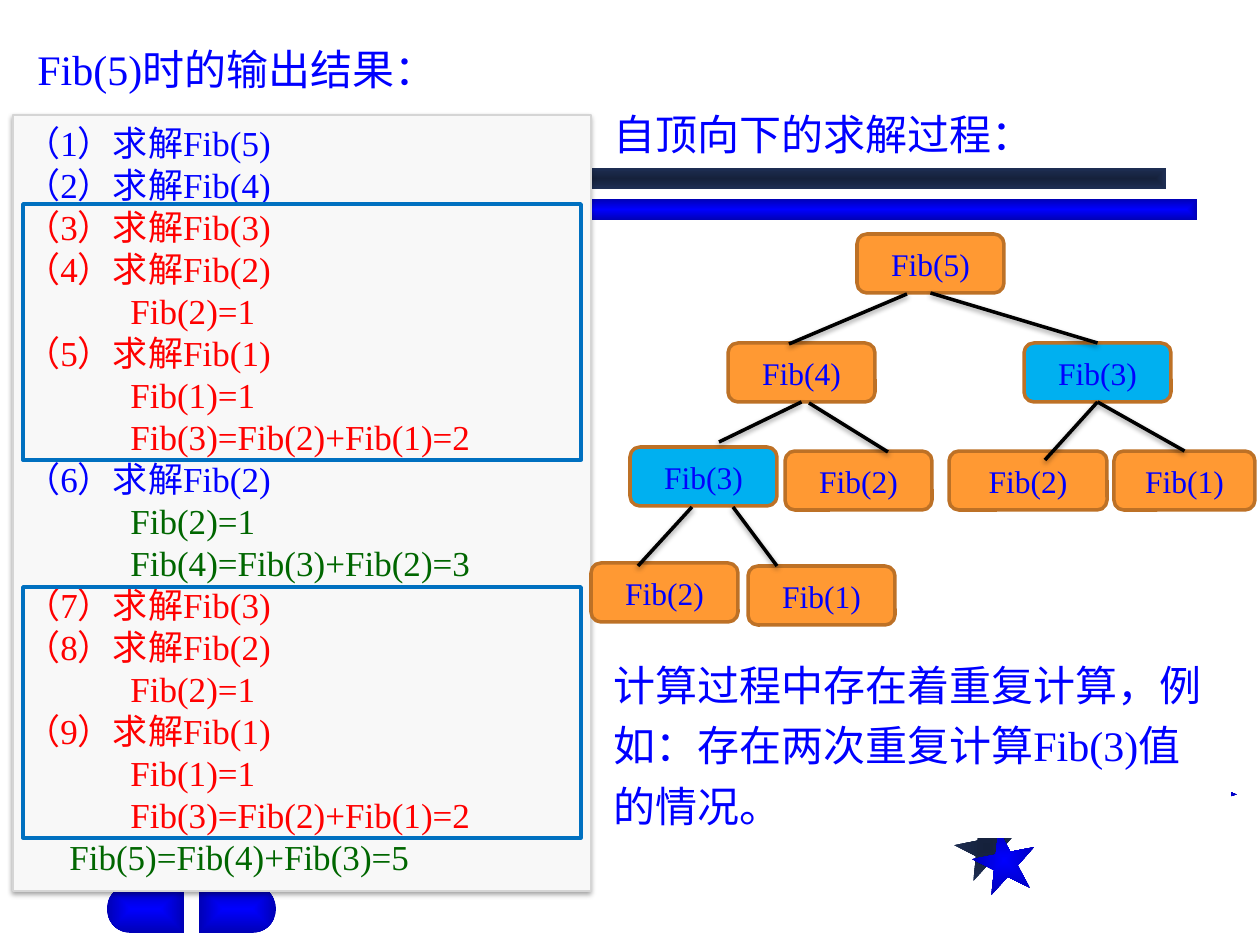
import math

from lxml import etree
from pptx import Presentation
from pptx.dml.color import RGBColor
from pptx.enum.shapes import MSO_CONNECTOR, MSO_SHAPE
from pptx.enum.text import MSO_ANCHOR, PP_ALIGN
from pptx.oxml import parse_xml
from pptx.oxml.ns import nsdecls, qn
from pptx.util import Pt

RECTANGLE, ROUNDED = MSO_SHAPE.RECTANGLE, MSO_SHAPE.ROUNDED_RECTANGLE
STAR, STRAIGHT = MSO_SHAPE.STAR_5_POINT, MSO_CONNECTOR.STRAIGHT
MIDDLE, TOP = MSO_ANCHOR.MIDDLE, MSO_ANCHOR.TOP
LEFT, CENTER = PP_ALIGN.LEFT, PP_ALIGN.CENTER

EMU_PER_PX = 914400 / 126
FONT = "Times New Roman"
BLUE, RED, GREEN = "0000FF", "FF0000", "006600"
ORANGE, CYAN = "FF9933", "00B0F0"
NAVY_GRADIENT = ("15213B", "1E2E53")
BLUE_GRADIENT = ("0000FF", "0000B6")
DEEP_INDENT, SMALL_INDENT = 105, 44

OUTPUT_LINES = [
    ("（1）求解Fib(5)", BLUE, 0), ("（2）求解Fib(4)", BLUE, 0),
    ("（3）求解Fib(3)", RED, 0), ("（4）求解Fib(2)", RED, 0),
    ("Fib(2)=1", RED, DEEP_INDENT), ("（5）求解Fib(1)", RED, 0),
    ("Fib(1)=1", RED, DEEP_INDENT), ("Fib(3)=Fib(2)+Fib(1)=2", RED, DEEP_INDENT),
    ("（6）求解Fib(2)", BLUE, 0), ("Fib(2)=1", GREEN, DEEP_INDENT),
    ("Fib(4)=Fib(3)+Fib(2)=3", GREEN, DEEP_INDENT), ("（7）求解Fib(3)", RED, 0),
    ("（8）求解Fib(2)", RED, 0), ("Fib(2)=1", RED, DEEP_INDENT),
    ("（9）求解Fib(1)", RED, 0), ("Fib(1)=1", RED, DEEP_INDENT),
    ("Fib(3)=Fib(2)+Fib(1)=2", RED, DEEP_INDENT),
    ("Fib(5)=Fib(4)+Fib(3)=5", GREEN, SMALL_INDENT),
]

TREE_NODES = {
    "root": ("Fib(5)", 857, 234, 147, ORANGE),
    "left": ("Fib(4)", 728, 343, 147, ORANGE),
    "left left": ("Fib(3)", 630, 447, 147, CYAN),
    "left right": ("Fib(2)", 785, 451, 147, ORANGE),
    "leaf left": ("Fib(2)", 591, 563, 147, ORANGE),
    "leaf right": ("Fib(1)", 748, 566, 147, ORANGE),
    "right": ("Fib(3)", 1024, 343, 147, CYAN),
    "right left": ("Fib(2)", 949, 451, 158, ORANGE),
    "right right": ("Fib(1)", 1114, 451, 141, ORANGE),
}

TREE_EDGES = [
    (692, 507, 638, 566, None, None),
    (733, 507, 777, 566, None, None),
    (802, 402, 719, 442, "left", None),
    (809, 403, 888, 452, None, None),
    (1098, 402, 1045, 460, "right", None),
    (1098, 402, 1184, 451, "right", "right right"),
    (907, 294, 789, 344, None, None),
    (931, 293, 1098, 343, "root", "right"),
]


def px(length):
    """Turn pixels into EMU."""
    return round(length * EMU_PER_PX)


def color(value):
    """Turn a hex string into a colour."""
    return RGBColor.from_string(value)


def add_shadow(shape):
    """Put a soft shadow below a shape or a connector."""
    properties = shape._element.spPr
    for effects in properties.findall(qn("a:effectLst")):
        properties.remove(effects)
    properties.append(parse_xml(
        f'<a:effectLst {nsdecls("a")}><a:outerShdw blurRad="{Pt(3.1)}" dist="{Pt(1.6)}" '
        'dir="5400000" rotWithShape="0"><a:srgbClr val="000000"><a:alpha val="38000"/>'
        '</a:srgbClr></a:outerShdw></a:effectLst>'))


def style_shape(shape, fill=None, line=None, line_width=2):
    """Set the plain fill and outline of a shape."""
    shape.shadow.inherit = False
    if fill:
        shape.fill.solid()
        shape.fill.fore_color.rgb = color(fill)
    else:
        shape.fill.background()
    if line:
        shape.line.color.rgb = color(line)
        shape.line.width = Pt(line_width)
    else:
        shape.line.fill.background()


def style_gradient(shape, colors, kind="shape"):
    """Fill a shape with a gradient that spreads from its centre."""
    style_shape(shape)
    shape.fill.gradient()
    for stop, value in zip(shape.fill.gradient_stops, colors):
        stop.color.rgb = color(value)
    gradient = shape._element.spPr.find(qn("a:gradFill"))
    gradient.remove(gradient.find(qn("a:lin")))
    spread = etree.SubElement(gradient, qn("a:path"), path=kind)
    etree.SubElement(spread, qn("a:fillToRect"), l="50000", t="50000", r="50000", b="50000")


def add_box(slide, preset, left, top, width, height, **style):
    """Add a preset shape with a plain style."""
    shape = slide.shapes.add_shape(preset, px(left), px(top), px(width), px(height))
    style_shape(shape, **style)
    return shape


def write_text(shape, lines, size=24, align=LEFT, anchor=TOP, spacing=None):
    """Write lines of text, colour and indent into a shape."""
    frame = shape.text_frame
    frame.word_wrap = True
    frame.vertical_anchor = anchor
    for number, (text, value, indent) in enumerate(lines):
        paragraph = frame.add_paragraph() if number else frame.paragraphs[0]
        paragraph.alignment = align
        paragraph.line_spacing = spacing
        paragraph._p.get_or_add_pPr().set("marL", str(px(indent)))
        run = paragraph.add_run()
        run.text = text
        run.font.size = Pt(size)
        run.font.name = FONT
        run.font.color.rgb = color(value)


def add_heading(slide, text, left, top):
    """Add a one-line heading in a text box."""
    box = slide.shapes.add_textbox(px(left), px(top), px(591), px(63))
    write_text(box, [(text, BLUE, 0)])


def add_cap(slide, flat, direction):
    """Add a half capsule whose round end points in the given direction."""
    top, length, radius = 885, 77, 24
    center = flat + direction * (length - radius)
    angles = [math.radians(degree) for degree in range(-90, 91, 10)]
    arc = [(px(center + direction * radius * math.cos(angle)),
            px(top + radius + radius * math.sin(angle))) for angle in angles]
    builder = slide.shapes.build_freeform(px(flat), px(top))
    builder.add_line_segments(arc + [(px(flat), px(top + 2 * radius))], close=True)
    style_gradient(builder.convert_to_shape(), BLUE_GRADIENT, "rect")


def add_decoration(slide):
    """Add the stars, bars and half capsules of the theme."""
    for left, top, size, angle, colors in [
            (955, 815, 63, 349, NAVY_GRADIENT), (1142, 725, 84, 22, NAVY_GRADIENT),
            (973, 829, 63, 349, BLUE_GRADIENT), (1152, 746, 84, 22, BLUE_GRADIENT)]:
        star = add_box(slide, STAR, left, top, size, size)
        star.rotation = angle
        style_gradient(star, colors)
    for left, top, colors in [(84, 199, BLUE_GRADIENT), (53, 168, NAVY_GRADIENT)]:
        style_gradient(add_box(slide, RECTANGLE, left, top, 1113, 21), colors)
    add_cap(slide, 184, -1)
    add_cap(slide, 199, 1)


def add_tree(slide):
    """Add the call tree with its nodes and edges."""
    nodes = {}
    for name, (text, left, top, width, fill) in TREE_NODES.items():
        nodes[name] = add_box(slide, ROUNDED, left, top, width, 59, fill=fill, line="BD7126")
        write_text(nodes[name], [(text, BLUE, 0)], size=18, align=CENTER, anchor=MIDDLE)
    for x1, y1, x2, y2, parent, child in TREE_EDGES:
        edge = slide.shapes.add_connector(STRAIGHT, px(x1), px(y1), px(x2), px(y2))
        edge.line.color.rgb = color("000000")
        edge.line.width = Pt(2)
        add_shadow(edge)
        if parent:
            edge.begin_connect(nodes[parent], 2)
        if child:
            edge.end_connect(nodes[child], 0)


def main():
    """Build the slide and save it."""
    presentation = Presentation()
    presentation.slide_width, presentation.slide_height = px(1260), px(945)
    slide = presentation.slides.add_slide(presentation.slide_layouts[6])
    add_decoration(slide)
    add_heading(slide, "Fib(5)时的输出结果：", 25, 37)
    output = add_box(slide, RECTANGLE, 13, 115, 578, 776, fill="F8F8F8", line="D5D5D5", line_width=0.75)
    add_shadow(output)
    write_text(output, OUTPUT_LINES, size=20, spacing=Pt(24))
    add_tree(slide)
    remark = add_box(slide, RECTANGLE, 601, 643, 630, 195, fill="FFFFFF")
    write_text(remark, [("计算过程中存在着重复计算，例如：存在两次重复计算Fib(3)值的情况。", BLUE, 0)], spacing=1.2)
    add_heading(slide, "自顶向下的求解过程：", 601, 102)
    for top, height in [(204, 256), (587, 251)]:
        add_box(slide, RECTANGLE, 23, top, 558, height, line="0070C0")
    presentation.save("out.pptx")


if __name__ == "__main__":
    main()
